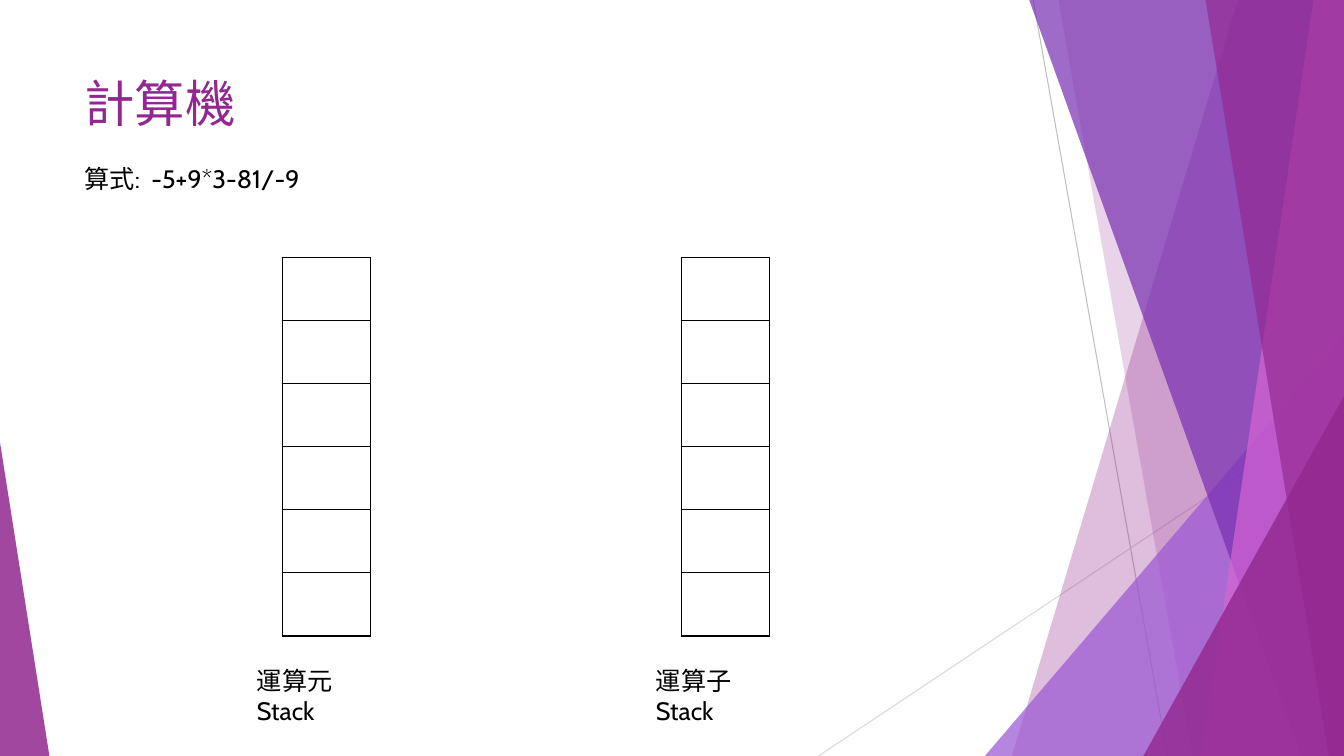
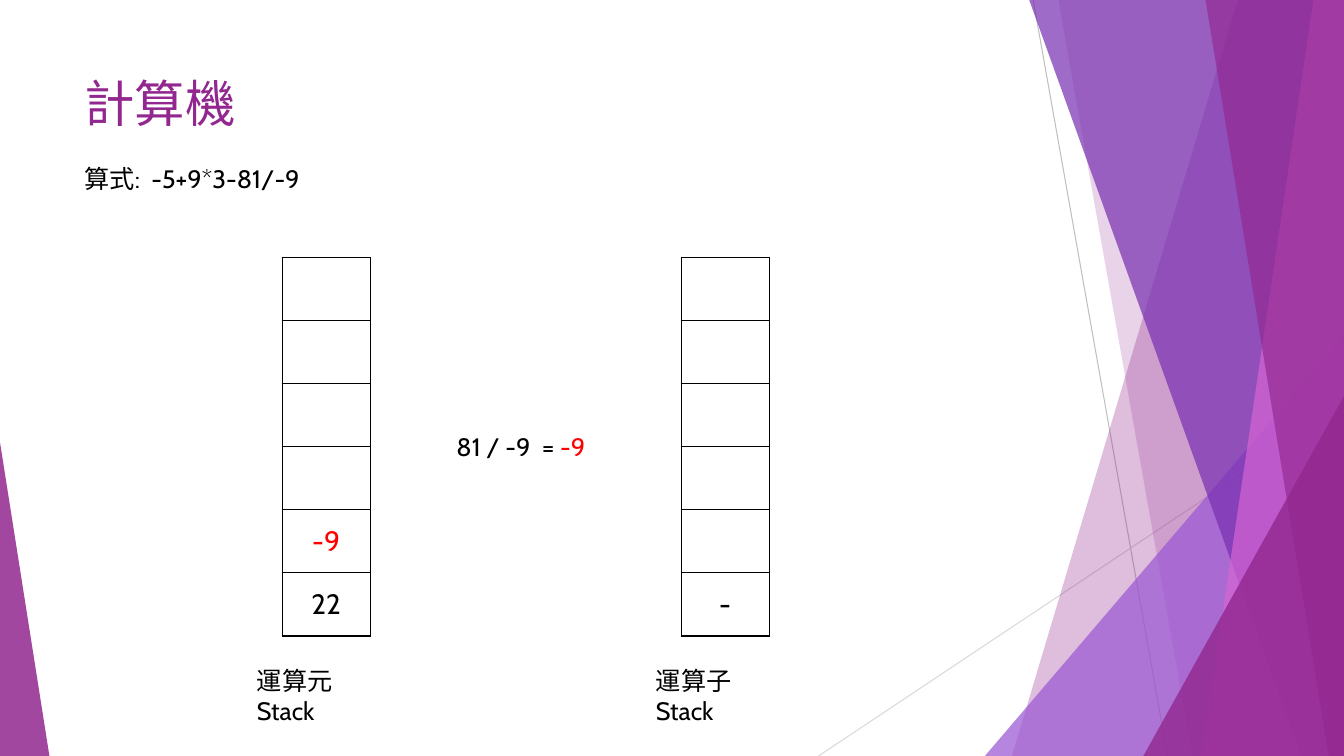
from pptx import Presentation
from pptx.dml.color import RGBColor
from pptx.enum.shapes import MSO_CONNECTOR as Link, MSO_SHAPE as Form
from pptx.enum.text import MSO_ANCHOR as Anchor, PP_ALIGN as Align
from pptx.oxml.ns import qn
from pptx.util import Pt
from lxml.etree import SubElement

PLUM = RGBColor(0x92, 0x27, 0x8F)
LILAC = RGBColor(0x9B, 0x57, 0xD3)
VIOLET = RGBColor(0x76, 0x2E, 0xB1)
PINK = RGBColor(0xD6, 0x65, 0xD3)
SILVER = RGBColor(0xBF, 0xBF, 0xBF)
MIST = RGBColor(0xD9, 0xD9, 0xD9)
BLACK = RGBColor(0, 0, 0)
RED = RGBColor(0xFF, 0, 0)

FONT = "Cabin"
WIDE, HIGH = 960, 540
ROWS, CELL_W, CELL_H = 6, 62.8, 45.1


def style(run, size, color):
    run.font.name = FONT
    run.font.size = Pt(size)
    run.font.color.rgb = color


def add_text(slide, box, parts, size, wrap=True):
    frame = slide.shapes.add_textbox(*map(Pt, box)).text_frame
    frame.word_wrap = wrap
    for text, color in parts:
        run = frame.paragraphs[0].add_run()
        run.text = text
        style(run, size, color)


def add_ray(slide, start, end, color):
    ray = slide.shapes.add_connector(Link.STRAIGHT, *map(Pt, start + end))
    ray.line.color.rgb = color
    ray.line.width = Pt(0.75)
    SubElement(ray._element.spPr, qn("a:effectLst"))


def paint(shape, color, alpha):
    shape.shadow.inherit = False
    shape.line.fill.background()
    shape.fill.solid()
    shape.fill.fore_color.rgb = color
    tone = shape._element.spPr.find(qn("a:solidFill"))[0]
    SubElement(tone, qn("a:alpha"), val=str(alpha * 1000))


def add_band(slide, top, foot, color, alpha):
    pen = slide.shapes.build_freeform(Pt(top), 0)
    corners = [(WIDE, 0), (WIDE, HIGH), (foot, HIGH)]
    pen.add_line_segments([(Pt(x), Pt(y)) for x, y in corners])
    paint(pen.convert_to_shape(), color, alpha)


def add_wedge(slide, left, top, width, peak, color, alpha):
    box = map(Pt, (left, top, width, HIGH - top))
    wedge = slide.shapes.add_shape(Form.ISOSCELES_TRIANGLE, *box)
    wedge.adjustments[0] = peak
    paint(wedge, color, alpha)


def add_decor(slide):
    add_ray(slide, (738, 0), (834, HIGH), SILVER)
    add_ray(slide, (WIDE, 290), (584.7, HIGH), MIST)
    add_band(slide, 884.2, 722.9, PLUM, 30)
    add_band(slide, 756, 851.8, PLUM, 20)
    add_wedge(slide, 703.5, 239.8, 256.5, 1, LILAC, 72)
    add_band(slide, 735.2, 929.5, VIOLET, 70)
    add_band(slide, 938.2, 858.2, PINK, 70)
    add_band(slide, 861.1, 949, PLUM, 65)
    add_wedge(slide, 816.7, 283, 143.3, 1, PLUM, 80)
    add_wedge(slide, 0, 316, 35.3, 0, PLUM, 85)


def frame_cell(cell):
    cell.fill.background()
    props = cell._tc.get_or_add_tcPr()
    for spot, side in enumerate(("lnL", "lnR", "lnT", "lnB")):
        edge = SubElement(props, qn("a:" + side), w=str(Pt(1)))
        fill = SubElement(edge, qn("a:solidFill"))
        SubElement(fill, qn("a:srgbClr"), val=str(BLACK))
        props.insert(spot, edge)


def add_stack(slide, left, top, label, items):
    box = map(Pt, (left, top, CELL_W, ROWS * CELL_H))
    table = slide.shapes.add_table(ROWS, 1, *box).table
    table.first_row = table.horz_banding = False
    for row in table.rows:
        row.height = Pt(CELL_H)
        frame_cell(row.cells[0])
    for level, (text, color) in enumerate(items, 1):
        cell = table.cell(ROWS - level, 0)
        cell.vertical_anchor = Anchor.MIDDLE
        para = cell.text_frame.paragraphs[0]
        para.text = text
        para.alignment = Align.CENTER
        style(para.runs[0], 20, color)
    spot = (left - 25.2, top + 288, 108, 29)
    add_text(slide, spot, [(label, BLACK)], 18)


def add_page(deck, values=(), signs=(), step=()):
    slide = deck.slides.add_slide(deck.slide_layouts[6])
    add_decor(slide)
    add_text(slide, (53.3, 48, 677, 104), [("計算機", PLUM)], 36)
    add_stack(slide, 201.6, 183.7, "運算元Stack", values)
    add_stack(slide, 486.6, 183.7, "運算子Stack", signs)
    add_text(slide, (53.3, 113, 170, 29), [("算式:  -5+9*3-81/-9", BLACK)], 18)
    if step:
        add_text(slide, (319, 304.6, 112.3, 29), step, 18, False)


def main():
    deck = Presentation()
    deck.slide_width, deck.slide_height = Pt(WIDE), Pt(HIGH)
    add_page(deck)
    add_page(
        deck,
        values=[("22", BLACK), ("-9", RED)],
        signs=[("-", BLACK)],
        step=[("81 / -9  = ", BLACK), ("-9", RED)],
    )
    deck.save("out.pptx")


if __name__ == "__main__":
    main()
